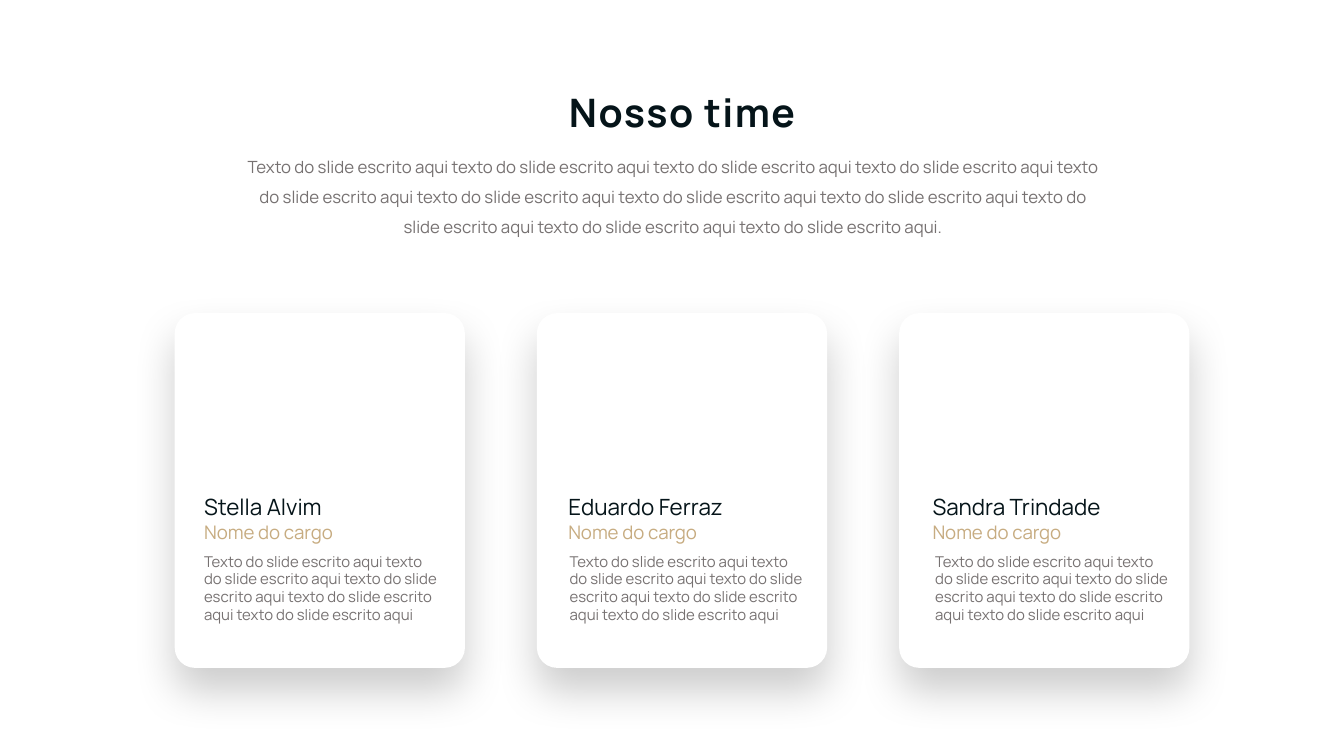
from dataclasses import dataclass

from lxml.etree import SubElement
from pptx import Presentation
from pptx.dml.color import RGBColor
from pptx.enum.shapes import MSO_SHAPE
from pptx.enum.text import MSO_ANCHOR, MSO_AUTO_SIZE, PP_ALIGN
from pptx.oxml.ns import qn
from pptx.util import Inches, Pt

FONT = "Manrope"
WHITE = RGBColor(0xFF, 0xFF, 0xFF)
INK = RGBColor(0x05, 0x14, 0x19)
GOLD = RGBColor(0xC7, 0xAC, 0x81)
GRAY = RGBColor(0x76, 0x71, 0x71)

PHRASE = "texto do slide escrito aqui"
CARD_LEFT, CARD_PITCH = 1.3, 5.39 / 2


@dataclass
class Member:
    name: str
    role: str = "Nome do cargo"


TEAM = [Member("Stella Alvim"), Member("Eduardo Ferraz"), Member("Sandra Trindade")]


def filler(count: int) -> str:
    return " ".join([PHRASE] * count).capitalize()


def place(sp, left: float, top: float, width: float, height: float) -> None:
    sp.left, sp.top = Inches(left), Inches(top)
    sp.width, sp.height = Inches(width), Inches(height)


def write(sp, text: str, *, size: float, color: RGBColor, bold: bool = False,
          align=PP_ALIGN.LEFT, line_spacing: float = 1.0, tracking: float = 0) -> None:
    tf = sp.text_frame
    tf.word_wrap = True
    tf.auto_size = MSO_AUTO_SIZE.SHAPE_TO_FIT_TEXT
    tf.vertical_anchor = MSO_ANCHOR.TOP
    p = tf.paragraphs[0]
    p.alignment, p.line_spacing = align, line_spacing
    r = p.add_run()
    r.text = text
    r.font.name, r.font.size, r.font.bold = FONT, Pt(size), bold
    r.font.color.rgb = color
    if tracking:
        r.font._element.set("spc", str(int(tracking * 100)))


def add_text(s, left: float, top: float, width: float, height: float,
             text: str, **style) -> None:
    sp = s.shapes.add_textbox(Inches(left), Inches(top), Inches(width), Inches(height))
    write(sp, text, **style)


def add_soft_shadow(sp) -> None:
    sp.shadow.inherit = False
    effects = sp._element.spPr.find(qn("a:effectLst"))
    shadow = SubElement(effects, qn("a:outerShdw"), blurRad=str(Pt(23)),
                        dist=str(Pt(12)), dir="5400000", algn="t", rotWithShape="0")
    color = SubElement(shadow, qn("a:srgbClr"), val="000000")
    SubElement(color, qn("a:alpha"), val="20000")


def add_card(s, left: float) -> None:
    sp = s.shapes.add_shape(MSO_SHAPE.ROUNDED_RECTANGLE, Inches(left), Inches(2.33),
                            Inches(2.16), Inches(2.64))
    sp.adjustments[0] = 0.07
    sp.fill.solid()
    sp.fill.fore_color.rgb = WHITE
    sp.line.fill.background()
    add_soft_shadow(sp)


def add_member(s, i: int, member: Member) -> None:
    left = 1.42 + 2.71 * i
    add_text(s, left, 3.58, 1.71, 0.33, member.name, size=12, color=INK, line_spacing=1.2)
    add_text(s, left, 3.79, 1.42, 0.29, member.role, size=10, color=GOLD, line_spacing=1.2)
    add_text(s, 1.42 + 2.72 * i, 4.06, 1.94, 0.77, filler(5), size=8, color=GRAY)


def main() -> None:
    # Widescreen 16:9 slide
    prs = Presentation()
    prs.slide_width = Inches(10)
    prs.slide_height = prs.slide_width * 9 // 16
    s = prs.slides.add_slide(prs.slide_layouts[5])
    s.background.fill.solid()
    s.background.fill.fore_color.rgb = WHITE

    # Heading and introduction
    title = s.shapes.title
    place(title, 3.69, 0.61, 2.77, 0.45)
    write(title, "Nosso time", size=21, color=INK, bold=True,
          align=PP_ALIGN.CENTER, tracking=0.8)
    add_text(s, 1.69, 1.04, 6.63, 0.76, filler(11) + ".", size=9, color=GRAY,
             align=PP_ALIGN.CENTER, line_spacing=1.5)

    # Team cards, all behind their texts
    for i in range(len(TEAM)):
        add_card(s, CARD_LEFT + CARD_PITCH * i)
    for i, member in enumerate(TEAM):
        add_member(s, i, member)

    prs.save("out.pptx")


if __name__ == "__main__":
    main()
